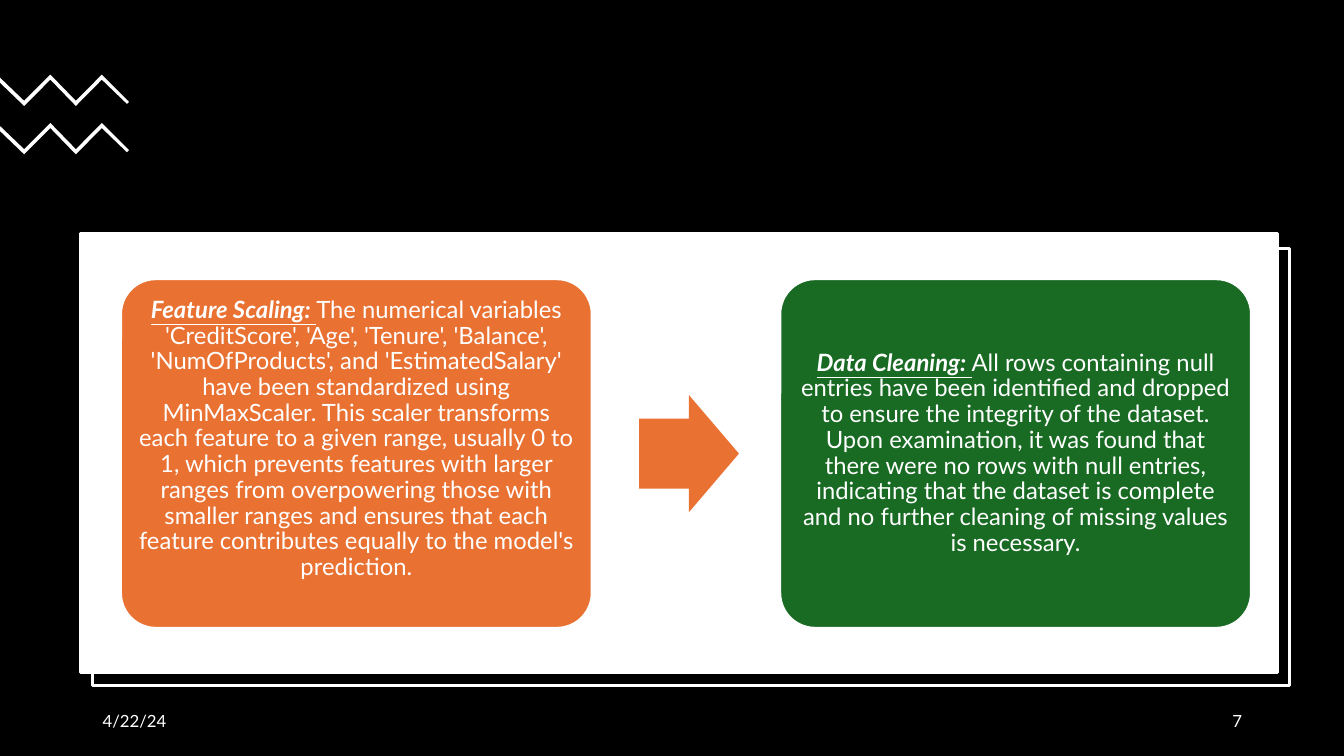
from dataclasses import dataclass

from pptx import Presentation
from pptx.dml.color import RGBColor as Color
from pptx.enum.shapes import MSO_SHAPE as Preset
from pptx.enum.text import MSO_ANCHOR as Anchor, PP_ALIGN as Align
from pptx.util import Inches, Pt

SLIDE_WIDTH = Inches(13.33)
SLIDE_HEIGHT = Inches(7.5)
GRID = 100


@dataclass(frozen=True)
class Theme:
    black: str = "000000"
    white: str = "FFFFFF"
    orange: str = "E97132"
    green: str = "196B24"
    font: str = "Lato"
    body_size: int = 17
    footer_size: int = 12
    panel_line: float = 2.25
    card_line: float = 1.5


THEME = Theme()

FEATURE_SCALING = (
    "The numerical variables 'CreditScore', 'Age', 'Tenure', 'Balance', "
    "'NumOfProducts', and 'EstimatedSalary' have been standardized using "
    "MinMaxScaler. This scaler transforms each feature to a given range, "
    "usually 0 to 1, which prevents features with larger ranges from "
    "overpowering those with smaller ranges and ensures that each feature "
    "contributes equally to the model's prediction."
)
DATA_CLEANING = (
    "All rows containing null entries have been identified and dropped to "
    "ensure the integrity of the dataset. Upon examination, it was found that "
    "there were no rows with null entries, indicating that the dataset is "
    "complete and no further cleaning of missing values is necessary."
)


def columns(count):
    return round(SLIDE_WIDTH * count / GRID)


def rows(count):
    return round(SLIDE_HEIGHT * count / GRID)


def place(left, top, width, height):
    return columns(left), rows(top), columns(width), rows(height)


def paint(shape, fill, line_width=0):
    shape.shadow.inherit = False
    shape.fill.solid()
    shape.fill.fore_color.rgb = Color.from_string(fill)
    if line_width:
        shape.line.color.rgb = Color.from_string(THEME.white)
        shape.line.width = Pt(line_width)
    else:
        shape.line.fill.background()


def add_block(slide, preset, box, fill, line_width=0, adjustments=()):
    shape = slide.shapes.add_shape(preset, *place(*box))
    for index, value in enumerate(adjustments):
        shape.adjustments[index] = value
    paint(shape, fill, line_width)
    return shape


def add_run(paragraph, text, size, emphasis=False):
    run = paragraph.add_run()
    run.text = text
    font = run.font
    font.name = THEME.font
    font.size = Pt(size)
    font.color.rgb = Color.from_string(THEME.white)
    font.bold = font.italic = font.underline = emphasis


def add_zigzag(slide, top):
    ridge = [(0, 0.4), (1.8, 3.47), (3.75, 0), (5.65, 3.47), (7.58, 0)]
    tip = [(9.6, 3.6), (9.45, 3.87)]
    thickness = 0.67
    underside = [(x, y + thickness) for x, y in reversed(ridge)]
    points = [(columns(x), rows(top + y)) for x, y in ridge + tip + underside]
    builder = slide.shapes.build_freeform(*points[0])
    builder.add_line_segments(points[1:], close=True)
    paint(builder.convert_to_shape(), THEME.white)


def add_card(slide, left, fill, heading, body, closing_break=False):
    card = add_block(slide, Preset.ROUNDED_RECTANGLE, (left, 36.93, 35.03, 46.13),
                     fill, THEME.card_line, (0.1,))
    frame = card.text_frame
    frame.word_wrap = True
    frame.vertical_anchor = Anchor.MIDDLE
    frame.margin_left = frame.margin_right = Inches(0.07)
    frame.margin_top = frame.margin_bottom = Inches(0.07)
    paragraph = frame.paragraphs[0]
    paragraph.alignment = Align.CENTER
    paragraph.line_spacing = 0.9
    add_run(paragraph, heading, THEME.body_size, emphasis=True)
    add_run(paragraph, body, THEME.body_size)
    if closing_break:
        paragraph.add_line_break()
        paragraph.font.size = Pt(THEME.body_size)


def add_footer(slide, left, text, alignment):
    frame = slide.shapes.add_textbox(*place(left, 92.67, 22.5, 5.33)).text_frame
    frame.word_wrap = True
    frame.vertical_anchor = Anchor.MIDDLE
    paragraph = frame.paragraphs[0]
    paragraph.alignment = alignment
    paragraph.space_after = Pt(6)
    add_run(paragraph, text, THEME.footer_size)


def main():
    presentation = Presentation()
    presentation.slide_width = SLIDE_WIDTH
    presentation.slide_height = SLIDE_HEIGHT
    slide = presentation.slides.add_slide(presentation.slide_layouts[6])

    add_block(slide, Preset.RECTANGLE, (0, 0, GRID, GRID), THEME.black)
    for top in (9.87, 16.27):
        add_zigzag(slide, top)
    add_block(slide, Preset.RECTANGLE, (6.9, 32.93, 89.03, 57.73),
              THEME.black, THEME.panel_line)
    add_block(slide, Preset.RECTANGLE, (6, 30.93, 89.03, 58),
              THEME.white, THEME.panel_line)
    add_footer(slide, 6.9, "4/22/24", Align.LEFT)
    add_footer(slide, 70.65, "7", Align.RIGHT)

    add_card(slide, 9, THEME.orange, "Feature Scaling: ", FEATURE_SCALING,
             closing_break=True)
    add_block(slide, Preset.RIGHT_ARROW, (47.55, 52.27, 7.43, 15.47),
              THEME.orange, adjustments=(0.6, 0.5))
    add_card(slide, 58.05, THEME.green, "Data Cleaning: ", DATA_CLEANING)

    presentation.save("out.pptx")


if __name__ == "__main__":
    main()
